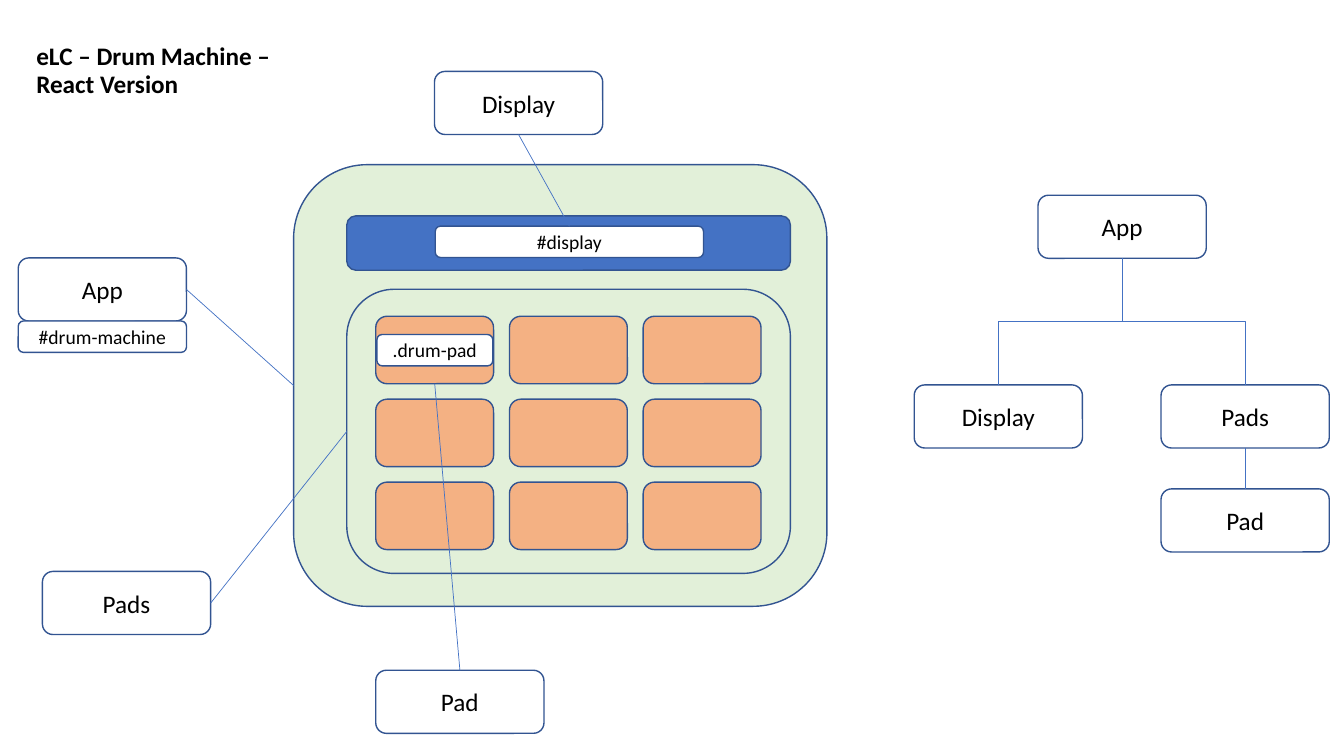
from lxml import etree
from pptx import Presentation
from pptx.dml.color import RGBColor
from pptx.enum.shapes import MSO_CONNECTOR as CONN, MSO_SHAPE
from pptx.enum.text import MSO_ANCHOR, MSO_AUTO_SIZE, PP_ALIGN
from pptx.oxml.ns import qn
from pptx.util import Cm, Pt

WHITE = RGBColor(0xFF, 0xFF, 0xFF)
BLACK = RGBColor(0x00, 0x00, 0x00)
BLUE = RGBColor(0x44, 0x72, 0xC4)
OUTLINE = RGBColor(0x32, 0x54, 0x91)
GREEN = RGBColor(0xE2, 0xF0, 0xD9)
ORANGE = RGBColor(0xF4, 0xB1, 0x83)
CARD_W, CARD_H, TAG_H = 4.24, 1.59, 0.79
TOP, LEFT, BOTTOM, RIGHT = range(4)  # connection sites of a rounded rectangle

prs = Presentation()
prs.slide_width, prs.slide_height = Cm(33.87), Cm(19.05)
s = prs.slides.add_slide(prs.slide_layouts[5])


def write(sp, text, size=18, bold=False, align=PP_ALIGN.CENTER, spacing=1.0):
    tf = sp.text_frame
    tf.word_wrap = True
    tf.auto_size = MSO_AUTO_SIZE.NONE
    tf.vertical_anchor = MSO_ANCHOR.MIDDLE
    p = tf.paragraphs[0]
    p.alignment, p.line_spacing = align, spacing
    r = p.add_run()
    r.text = text
    r.font.name, r.font.size, r.font.bold = "Calibri", Pt(size), bold
    r.font.color.rgb = BLACK


def box(x, y, w=CARD_W, h=CARD_H, fill=WHITE, text="", size=18):
    """Add a rounded box, measured in cm; a fill of None leaves it hollow."""
    sp = s.shapes.add_shape(MSO_SHAPE.ROUNDED_RECTANGLE, Cm(x), Cm(y), Cm(w), Cm(h))
    sp.shadow.inherit = False
    if fill is None:
        sp.fill.background()
    else:
        sp.fill.solid()
        sp.fill.fore_color.rgb = fill
    sp.line.color.rgb, sp.line.width = OUTLINE, Pt(1)
    if text:
        write(sp, text, size=size)
    return sp


title = s.shapes.title
title.left, title.top, title.width, title.height = Cm(0.66), Cm(0.64), Cm(7.24), Cm(2.31)
write(title, "eLC – Drum Machine – React Version", bold=True, align=PP_ALIGN.LEFT, spacing=0.9)

# Drum machine
machine = box(7.4, 4.15, 13.44, 11.13, GREEN)
box(8.74, 5.44, 11.18, 1.37, BLUE)
display_tag = box(10.97, 5.7, 6.76, TAG_H, text="#display", size=14)
pads = [box(9.47 + 3.37 * col, 7.97 + 2.09 * row, 2.97, 1.7, ORANGE)
        for row in range(3) for col in range(3)]
box(9.5, 8.43, 2.92, TAG_H, text=".drum-pad", size=14)
pad_panel = box(8.74, 7.29, 11.18, 7.16, None)

# Labels around the machine
app_label = box(0.46, 6.5, text="App")
box(0.46, 8.09, h=TAG_H, text="#drum-machine", size=14)
pads_label = box(1.07, 14.4, text="Pads")
pad_label = box(9.47, 16.89, text="Pad")
display_label = box(10.95, 1.8, text="Display")

# Component tree
app_node = box(26.16, 4.92, text="App")
display_node = box(23.04, 9.7, text="Display")
pads_node = box(29.26, 9.7, text="Pads")
pad_node = box(29.26, 12.32, text="Pad")

links = []
for start, start_site, end, end_site in [
    (app_label, RIGHT, machine, LEFT),
    (pads_label, RIGHT, pad_panel, LEFT),
    (pad_label, TOP, pads[0], BOTTOM),
    (display_label, BOTTOM, display_tag, TOP),
    (pads_node, BOTTOM, pad_node, TOP),
]:
    link = s.shapes.add_connector(CONN.STRAIGHT, 0, 0, 0, 0)
    link.begin_connect(start, start_site)
    link.end_connect(end, end_site)
    links.append(link)

# An elbow leaves sideways by default, so each one is turned to leave downwards
for child, angle in [(pads_node, 270), (display_node, 90)]:
    x1, y1 = app_node.left + app_node.width // 2, app_node.top + app_node.height
    x2, y2 = child.left + child.width // 2, child.top
    cx, cy = (x1 + x2) // 2, (y1 + y2) // 2
    half_w, half_h = (y2 - y1) // 2, abs(x2 - x1) // 2
    side = half_w if angle == 270 else -half_w
    link = s.shapes.add_connector(CONN.ELBOW, cx + side, cy - half_h, cx - side, cy + half_h)
    link._element.spPr.find(qn("a:xfrm")).set("rot", str(angle * 60000))
    links.append(link)

for link in links:
    link.line.color.rgb, link.line.width = BLUE, Pt(0.5)
    etree.SubElement(link._element.spPr, qn("a:effectLst"))

prs.save("out.pptx")
